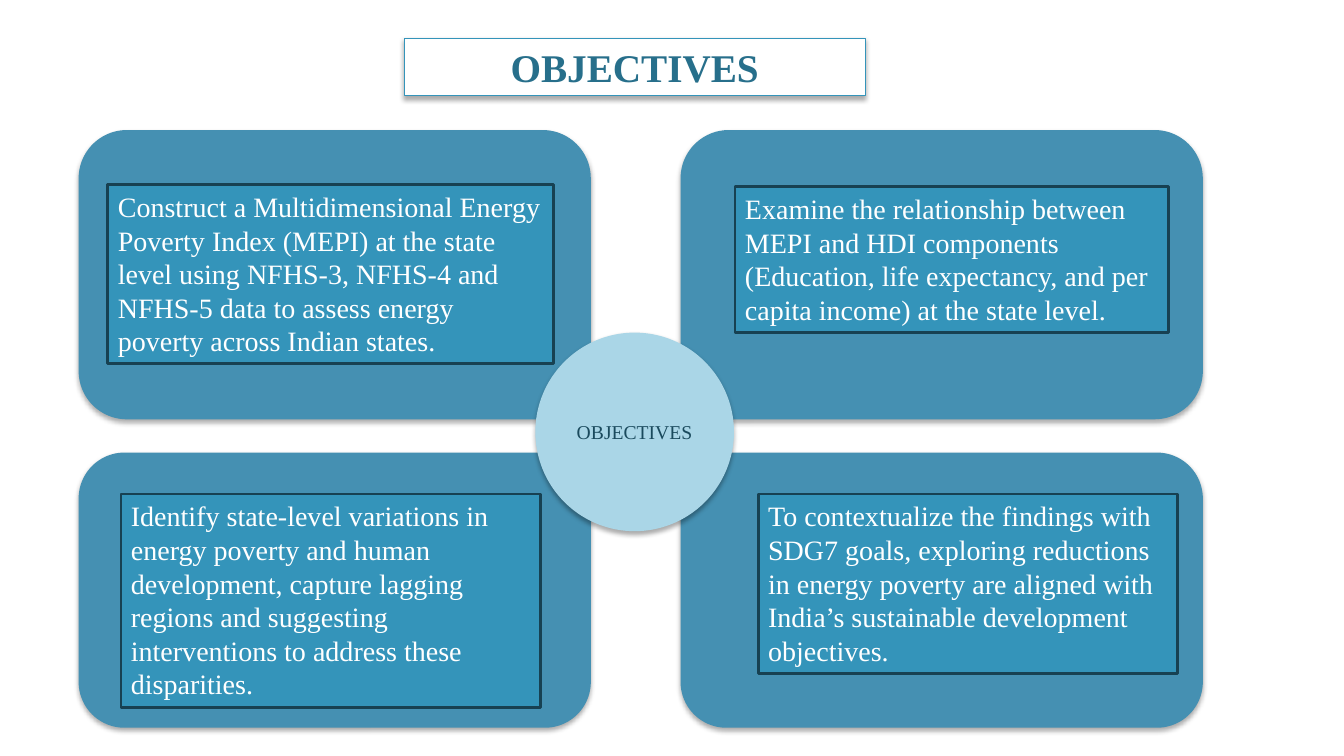
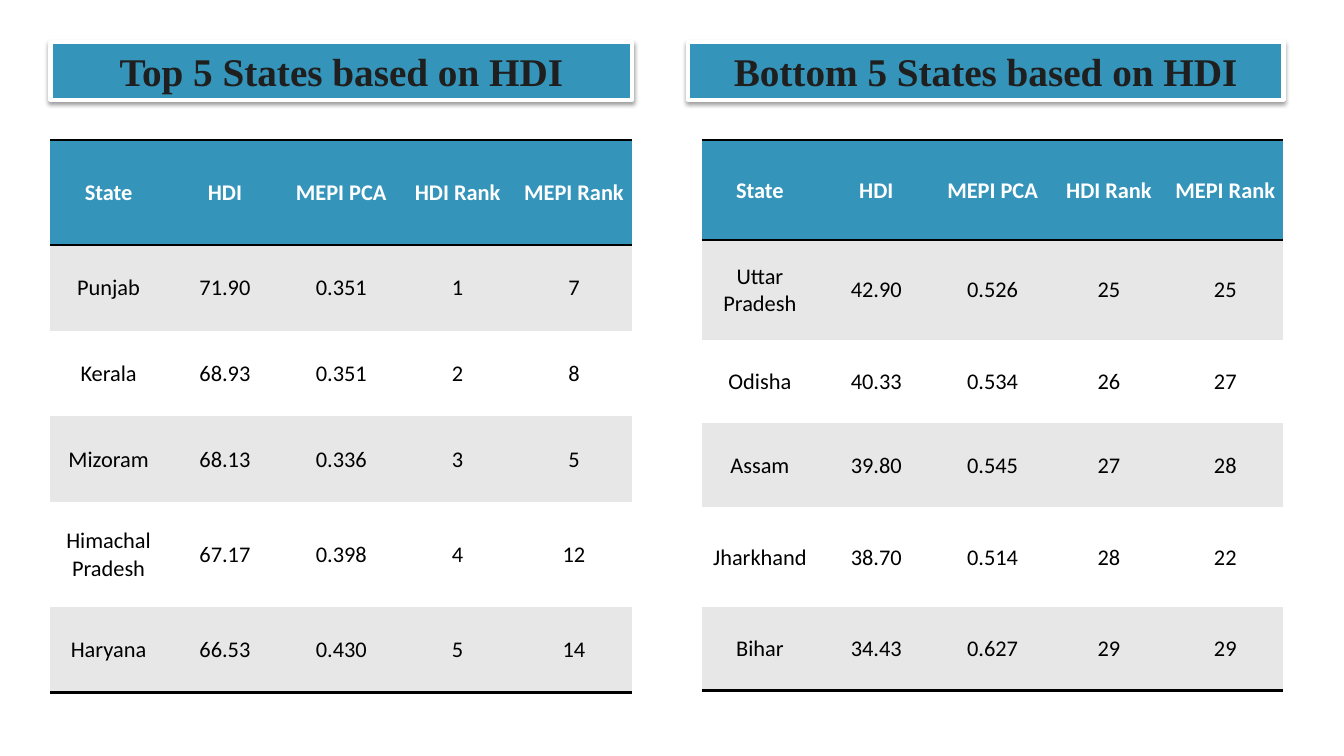
import pptx
import pptx.util
import pptx.oxml
import pptx.oxml.ns
import pptx.dml.color
import pptx.enum.shapes
import pptx.enum.text

Inches = pptx.util.Inches
Pt = pptx.util.Pt
Kind = pptx.enum.shapes.MSO_SHAPE
Align = pptx.enum.text.PP_ALIGN
Anchor = pptx.enum.text.MSO_ANCHOR

BLUE, WHITE, BLACK, GREY = "3494BA", "FFFFFF", "000000", "E7E7E7"
SERIF = "Times New Roman"
PLAIN_GRID = "{2D5ABB26-0587-4C30-8999-92F81FD0307C}"

GOALS = [
    ("Construct a Multidimensional Energy Poverty Index (MEPI) at the state level "
     "using NFHS-3, NFHS-4 and NFHS-5 data to assess energy poverty across Indian states.",
     (1.07, 1.83, 4.42, 1.78)),
    ("Examine the relationship between MEPI and HDI components (Education, life "
     "expectancy, and per capita income) at the state level.",
     (7.29, 1.85, 4.3, 1.45)),
    ("Identify state-level variations in energy poverty and human development, capture "
     "lagging regions and suggesting interventions to address these disparities.",
     (1.2, 4.9, 4.16, 2.12)),
    ("To contextualize the findings with SDG7 goals, exploring reductions in energy "
     "poverty are aligned with India’s sustainable development objectives.",
     (7.52, 4.9, 4.16, 1.78)),
]
CARD_COLS = [(0.78, 5.08), (6.75, 5.18)]
CARD_ROWS = [(1.29, 2.87), (4.49, 2.73)]

HEADS = ["State", "HDI", "MEPI PCA", "HDI Rank", "MEPI Rank"]
RANKS = [
    {"title": "Top 5 States based on HDI", "band": (0.5, 5.77), "left": 0.5,
     "sizes": [1.04, 0.85, 0.85, 0.85, 1.04, 0.85],
     "rows": [["Punjab", "71.90", "0.351", "1", "7"],
              ["Kerala", "68.93", "0.351", "2", "8"],
              ["Mizoram", "68.13", "0.336", "3", "5"],
              ["Himachal Pradesh", "67.17", "0.398", "4", "12"],
              ["Haryana", "66.53", "0.430", "5", "14"]]},
    {"title": "Bottom 5 States based on HDI", "band": (6.82, 5.91), "left": 6.96,
     "sizes": [0.99, 0.99, 0.83, 0.83, 0.99, 0.83],
     "rows": [["Uttar Pradesh", "42.90", "0.526", "25", "25"],
              ["Odisha", "40.33", "0.534", "26", "27"],
              ["Assam", "39.80", "0.545", "27", "28"],
              ["Jharkhand", "38.70", "0.514", "28", "22"],
              ["Bihar", "34.43", "0.627", "29", "29"]]},
]
TABLE_TOP, TABLE_WIDE = 1.39, 5.77

TITLE = {"size": Pt(28), "bold": True, "name": SERIF}
GOAL = {"size": Pt(20), "bold": False, "name": SERIF}
HUB = {"size": Pt(14), "bold": False, "name": SERIF}
HEAD = {"size": Pt(16), "bold": True, "name": "Calibri"}
BODY = {**HEAD, "bold": False}
CARD_SHADE = (32, 3.5, 2.2)
BAND_SHADE = (38, 3.1, 1.6)


def color(code):
    return pptx.dml.color.RGBColor.from_string(code)


def apply(item, values):
    for name, value in values.items():
        setattr(item, name, value)


def place(shape, box):
    apply(shape, dict(zip(("left", "top", "width", "height"), map(Inches, box))))


def paint(shape, fill, line=None, shade=None):
    shape.fill.solid()
    shape.fill.fore_color.rgb = color(fill)
    if line:
        shape.line.color.rgb = color(line[0])
        shape.line.width = Pt(line[1])
    else:
        shape.line.fill.background()
    shape.shadow.inherit = False
    if shade:
        alpha, blur, dist = shade
        effect = shape._element.spPr.find(pptx.oxml.ns.qn("a:effectLst"))
        effect.append(pptx.oxml.parse_xml(
            f'<a:outerShdw {pptx.oxml.ns.nsdecls("a")} blurRad="{Pt(blur)}" dist="{Pt(dist)}" '
            f'dir="5400000" algn="t" rotWithShape="0"><a:srgbClr val="{BLACK}">'
            f'<a:alpha val="{alpha * 1000}"/></a:srgbClr></a:outerShdw>'))


def write(frame, text, font, ink, align=Align.CENTER):
    frame.text = text
    para = frame.paragraphs[0]
    apply(para, {"alignment": align, "space_before": Pt(0)})
    apply(para.font, font)
    para.font.color.rgb = color(ink)


def draw(slide, kind, box, *look):
    shape = slide.shapes.add_shape(kind, *map(Inches, box))
    paint(shape, *look)
    return shape


def add_band(holder, text, left, top, width, ink, *look):
    place(holder, (left, top, width, 0.57))
    paint(holder, *look)
    write(holder.text_frame, text, TITLE, ink)
    apply(holder.text_frame, {
        "word_wrap": True, "vertical_anchor": Anchor.MIDDLE,
        "auto_size": pptx.enum.text.MSO_AUTO_SIZE.NONE})


def add_rule(cell, side):
    cell._tc.get_or_add_tcPr().insert(0, pptx.oxml.parse_xml(
        f'<a:{side} {pptx.oxml.ns.nsdecls("a")} w="{Pt(2)}"><a:solidFill>'
        f'<a:srgbClr val="{BLACK}"/></a:solidFill></a:{side}>'))


def add_grid(slide, rank):
    rows = [HEADS] + rank["rows"]
    sizes = rank["sizes"]
    box = (rank["left"], TABLE_TOP, TABLE_WIDE, sum(sizes))
    frame = slide.shapes.add_table(len(rows), len(HEADS), *map(Inches, box))
    for mark in frame._element.iter(pptx.oxml.ns.qn("a:tableStyleId")):
        mark.text = PLAIN_GRID
    table = frame.table
    apply(table, {"first_row": False, "horz_banding": False})
    for col in table.columns:
        col.width = Inches(TABLE_WIDE / len(HEADS))
    edge = Inches(0.01)
    for r, texts in enumerate(rows):
        table.rows[r].height = Inches(sizes[r])
        for c, text in enumerate(texts):
            cell = table.cell(r, c)
            apply(cell, {"margin_left": edge, "margin_right": edge, "margin_top": edge,
                         "margin_bottom": 0, "vertical_anchor": Anchor.MIDDLE})
            cell.fill.solid()
            cell.fill.fore_color.rgb = color(BLUE if r == 0 else GREY if r % 2 else WHITE)
            write(cell.text_frame, text, BODY if r else HEAD, BLACK if r else WHITE)
            if r in (0, len(rows) - 1):
                add_rule(cell, "lnB")
            if r == 0:
                add_rule(cell, "lnT")


def make_goals(deck):
    slide = deck.slides.add_slide(deck.slide_layouts[5])
    add_band(slide.shapes.title, "OBJECTIVES", 4.01, 0.38, 4.57, "276F8B",
             WHITE, (BLUE, 0.75), CARD_SHADE)
    for top, height in CARD_ROWS:
        for left, width in CARD_COLS:
            draw(slide, Kind.ROUNDED_RECTANGLE, (left, top, width, height),
                 "4590B2", None, CARD_SHADE)
    hub = draw(slide, Kind.OVAL, (5.31, 3.3, 1.97, 1.97), "AAD6E7", None, CARD_SHADE)
    write(hub.text_frame, "OBJECTIVES", HUB, "1A4A5D")
    for text, box in GOALS:
        panel = draw(slide, Kind.RECTANGLE, box, BLUE, ("174152", 2))
        write(panel.text_frame, text, GOAL, WHITE, Align.LEFT)
        apply(panel.text_frame, {"word_wrap": True, "vertical_anchor": Anchor.TOP})


def make_ranks(deck):
    slide = deck.slides.add_slide(deck.slide_layouts[4])
    holders = {h.placeholder_format.idx: h for h in slide.placeholders}
    for idx in (1, 2, 4):
        spare = holders[idx]._element
        spare.getparent().remove(spare)
    for rank, holder in zip(RANKS, (holders[0], holders[3])):
        left, width = rank["band"]
        add_band(holder, rank["title"], left, 0.42, width, "1F1F1F",
                 BLUE, (WHITE, 3), BAND_SHADE)
        add_grid(slide, rank)


def main():
    deck = pptx.Presentation()
    apply(deck, {"slide_width": Inches(13.33), "slide_height": Inches(7.5)})
    make_goals(deck)
    make_ranks(deck)
    deck.save("out.pptx")


if __name__ == "__main__":
    main()
